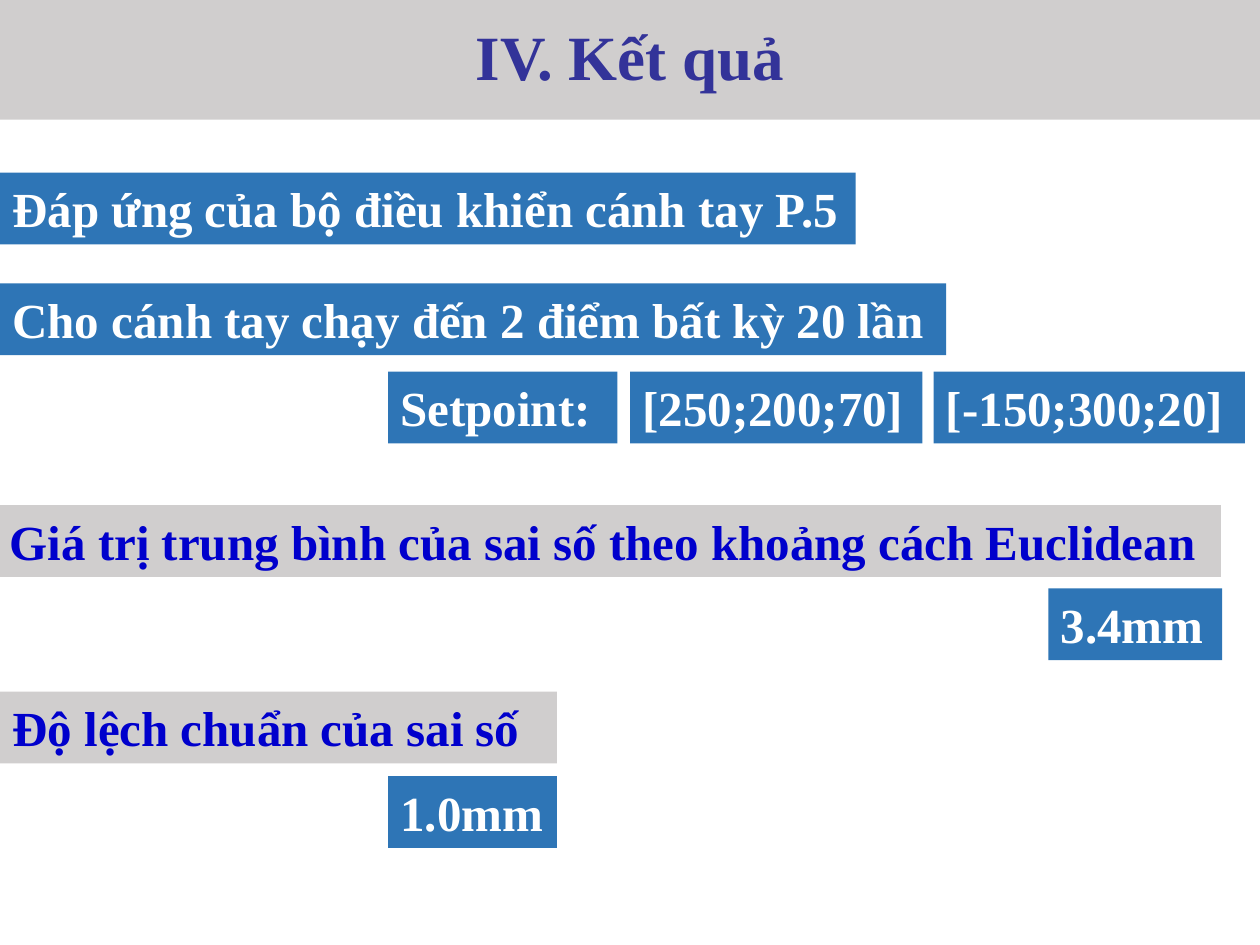
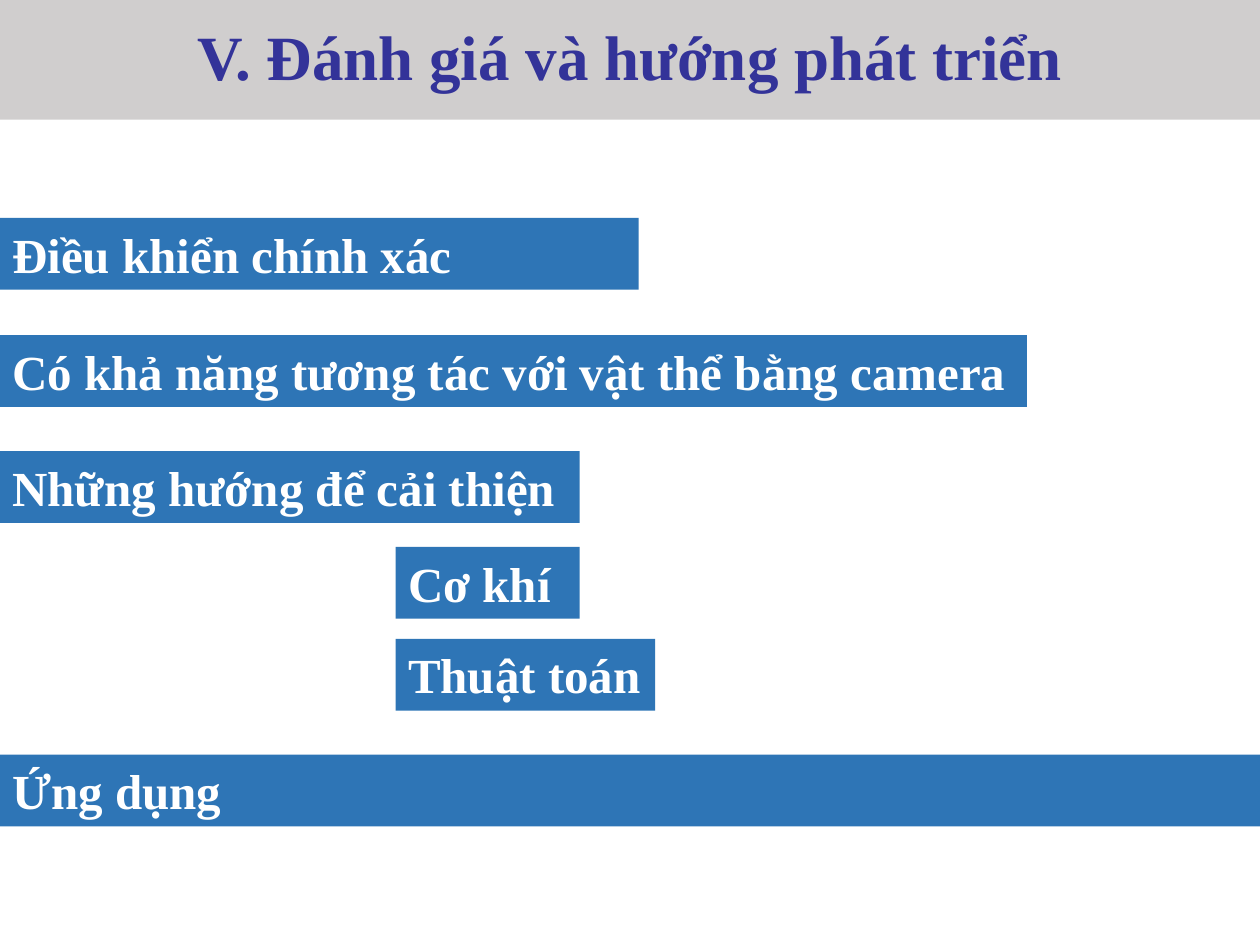
from pptx import Presentation
from pptx.dml.color import RGBColor
from pptx.enum import shapes, text
from pptx.util import Inches, Pt

FONT = "Times New Roman"
BLUE, GREY, WHITE = "2E75B6", "D0CECE", "FFFFFF"
NAVY, INK = "333399", "0000CC"
WIDE, HIGH, BAND, ROW = 10, 7.5, 0.95, 0.57

# Label styles: fill, font colour
FACT = (BLUE, WHITE)
HEAD = (GREY, INK)

# Each label: text, left, top, width, style
SLIDES = [
    ("IV. Kết quả", [
        ("Đáp ứng của bộ điều khiển cánh tay P.5", 0, 1.37, 6.79, FACT),
        ("Cho cánh tay chạy đến 2 điểm bất kỳ 20 lần", 0, 2.25, 7.51, FACT),
        ("Setpoint:", 3.08, 2.95, 1.82, FACT),
        ("[250;200;70]", 5, 2.95, 2.32, FACT),
        ("[-150;300;20]", 7.41, 2.95, 2.47, FACT),
        ("Giá trị trung bình của sai số theo khoảng cách Euclidean",
         -0.02, 4.01, 9.71, HEAD),
        ("3.4mm", 8.32, 4.67, 1.38, FACT),
        ("Độ lệch chuẩn của sai số", 0, 5.49, 4.42, HEAD),
        ("1.0mm", 3.08, 6.16, 1.34, FACT),
    ]),
    ("V. Đánh giá và hướng phát triển", [
        ("Điều khiển chính xác", 0, 1.73, 5.07, FACT),
        ("Có khả năng tương tác với vật thể bằng camera", 0, 2.66, 8.15, FACT),
        ("Những hướng để cải thiện", 0, 3.58, 4.6, FACT),
        ("Cơ khí", 3.14, 4.34, 1.46, FACT),
        ("Thuật toán", 3.14, 5.07, 2.06, FACT),
        ("Ứng dụng", 0, 5.99, WIDE, FACT),
    ]),
]


def paint(target, color):
    target.fill.solid()
    target.fill.fore_color.rgb = RGBColor.from_string(color)


def block(slide, words, left, top, width, height, style, size):
    """Add a filled rectangle with one line of bold text; return it."""
    fill, ink = style
    box = slide.shapes.add_shape(
        shapes.MSO_SHAPE.RECTANGLE,
        *map(Inches, (left, top, width, height)))
    box.shadow.inherit = False
    box.line.fill.background()
    paint(box, fill)
    frame = box.text_frame
    frame.word_wrap = True
    frame.vertical_anchor = text.MSO_ANCHOR.TOP
    frame.text = words
    line = frame.paragraphs[0]
    line.alignment = text.PP_ALIGN.LEFT
    font = line.runs[0].font
    font.name, font.size, font.bold = FONT, Pt(size), True
    paint(font, ink)
    return box


def title(slide, words):
    box = block(slide, words, 0, 0, WIDE, BAND, (GREY, NAVY), 36)
    frame = box.text_frame
    frame.vertical_anchor = text.MSO_ANCHOR.MIDDLE
    frame.paragraphs[0].alignment = text.PP_ALIGN.CENTER
    frame.paragraphs[0].line_spacing = 0.9


def label(slide, words, left, top, width, style):
    box = block(slide, words, left, top, width, ROW, style, 28)
    box.text_frame.auto_size = text.MSO_AUTO_SIZE.SHAPE_TO_FIT_TEXT


def main():
    deck = Presentation()
    deck.slide_width, deck.slide_height = Inches(WIDE), Inches(HIGH)
    for name, labels in SLIDES:
        slide = deck.slides.add_slide(deck.slide_layouts[6])
        title(slide, name)
        for item in labels:
            label(slide, *item)
    deck.save("out.pptx")


if __name__ == "__main__":
    main()
